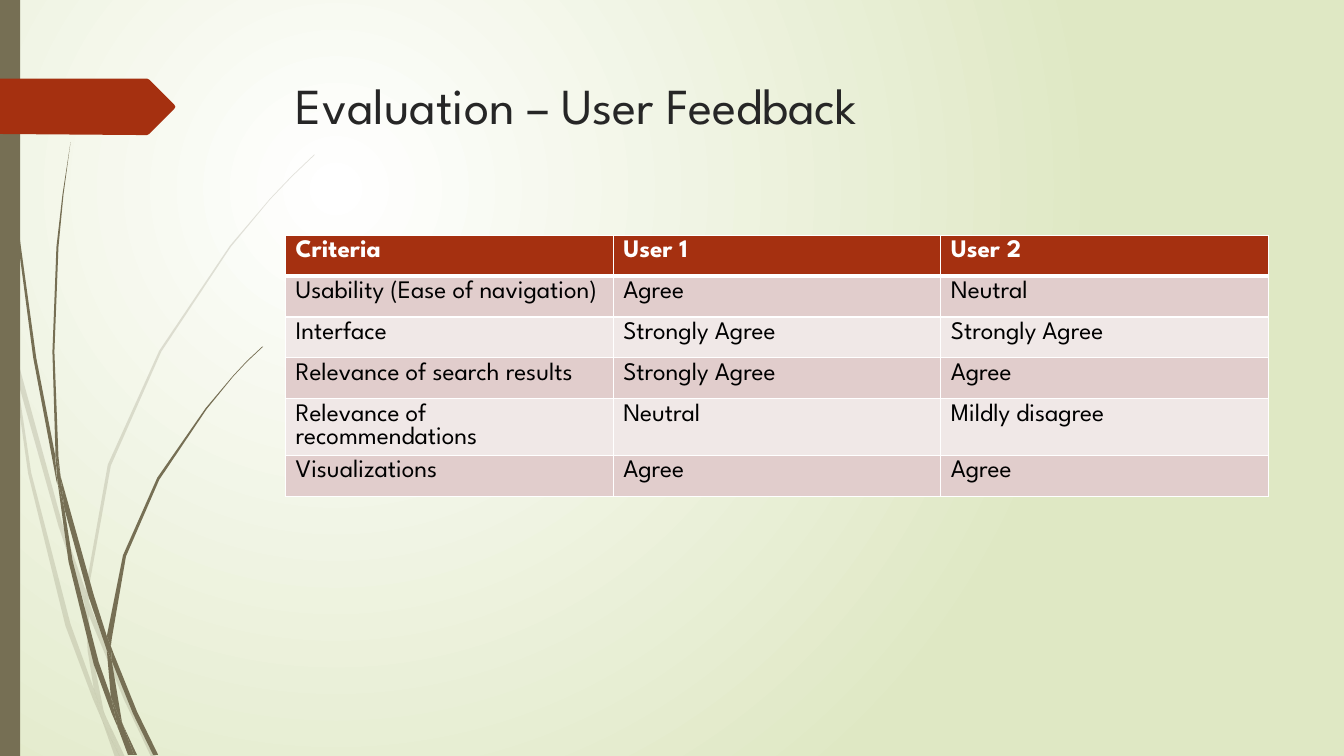
"""Build the user feedback evaluation slide."""
from pptx import Presentation
from pptx import util as u
from pptx.dml.color import RGBColor
from pptx.enum import shapes, text
from pptx.oxml import parse_xml
from pptx.oxml.ns import nsdecls, qn

OLIVE, RUST, WHITE = "766F54", "A53010", "FFFFFF"
HUNDREDTH_INCH = u.Pt(0.72)

PALE_BLADES = [
    [(11, 350), (9, 322), (0, 282), (0, 299), (10, 344)],
    [(58, 522), (84, 599), (85, 586), (62, 520), (14, 345), (17, 376)],
    [(92, 607), (88, 596), (88, 610), (123, 694), (150, 751), (155, 751),
     (127, 692)],
    [(119, 751), (124, 751), (105, 711)],
    [(93, 683), (70, 619), (31, 469), (17, 376), (11, 350), (28, 470),
     (65, 621), (92, 693), (101, 714), (99, 707)],
    [(84, 599), (87, 646), (93, 683), (96, 692), (105, 711), (103, 706),
     (91, 646), (88, 610), (88, 608)],
    [(88, 584), (110, 462), (160, 349), (229, 245), (268, 198), (290, 175),
     (312, 154), (312, 153), (289, 175), (268, 197), (228, 244), (158, 348),
     (107, 461), (85, 584), (85, 586), (88, 596)],
    [(101, 714), (114, 751), (119, 751)],
    [(88, 608), (88, 610), (88, 596), (85, 586), (84, 599)],
    [(96, 692), (93, 683), (99, 707), (101, 714), (119, 751), (105, 711)],
]
DARK_BLADES = [
    [(7, 110), (17, 233), (33, 355), (56, 477), (57, 481), (55, 457),
     (55, 453), (36, 355), (19, 232), (8, 109), (5, 48), (4, 0), (3, 0),
     (4, 48)],
    [(88, 592), (106, 645), (106, 633), (106, 631), (93, 590), (60, 472),
     (64, 505)],
    [(113, 649), (110, 641), (111, 656), (132, 708), (152, 749), (157, 749),
     (136, 706)],
    [(110, 691), (98, 657), (72, 556), (64, 505), (57, 477), (68, 557),
     (93, 659), (111, 708), (117, 722), (116, 717)],
    [(60, 472), (58, 453), (54, 349), (58, 245), (63, 193), (70, 141),
     (62, 193), (56, 245), (52, 349), (55, 449)],
    [(133, 749), (136, 749), (122, 719)],
    [(57, 477), (64, 505), (60, 472), (55, 449), (55, 453)],
    [(111, 633), (125, 552), (158, 476), (205, 406), (231, 374), (245, 359),
     (261, 344), (260, 344), (245, 358), (231, 373), (204, 405), (156, 474),
     (122, 551), (106, 631), (110, 641)],
    [(117, 722), (127, 749), (131, 749)],
    [(106, 645), (110, 691), (116, 706), (122, 719), (121, 716), (111, 656),
     (109, 651)],
    [(106, 645), (109, 651), (111, 656), (110, 641), (106, 631), (106, 633)],
    [(116, 706), (110, 691), (116, 717), (117, 722), (130, 749), (133, 749),
     (122, 719)],
]
PENNANT = [(0, 78), (146, 78), (148, 79), (173, 104), (174, 106), (173, 108),
           (148, 133), (146, 134), (136, 134), (0, 133)]
FEEDBACK = [
    ("Criteria", "User 1", "User 2"),
    ("Usability (Ease of navigation)", "Agree", "Neutral"),
    ("Interface", "Strongly Agree", "Strongly Agree"),
    ("Relevance of search results", "Strongly Agree", "Agree"),
    ("Relevance of recommendations", "Neutral", "Mildly disagree"),
    ("Visualizations", "Agree", "Agree"),
]


def colour(code):
    return RGBColor.from_string(code)


class FeedbackSlide:
    """Hold the style and draw each kind of element on one slide."""

    font = "League Spartan"
    bands = ("F0E8E7", "E1CDCC")

    def __init__(self, deck):
        self.slide = deck.slides.add_slide(deck.slide_layouts[5])

    def background(self, centre, edge):
        fill = self.slide.background.fill
        fill.gradient()
        for stop, code in zip(fill.gradient_stops, (centre, edge)):
            stop.color.rgb = colour(code)
        gradient = self.slide.element.find(".//" + qn("a:gradFill"))
        gradient.replace(gradient.find(qn("a:lin")), parse_xml(
            f'<a:path {nsdecls("a")} path="circle"><a:fillToRect l="50000" '
            't="50000" r="100000" b="100000"/></a:path>'))

    def paint(self, shape, code, opacity=100):
        shape.shadow.inherit = False
        shape.fill.solid()
        shape.fill.fore_color.rgb = colour(code)
        shape.line.fill.background()
        if opacity < 100:
            shape.element.spPr.find(".//" + qn("a:srgbClr")).append(parse_xml(
                f'<a:alpha {nsdecls("a")} val="{opacity * 1000}"/>'))

    def outline(self, owner, points, code, opacity=100):
        builder = owner.build_freeform(*points[0], scale=HUNDREDTH_INCH)
        builder.add_line_segments(points[1:], close=True)
        self.paint(builder.convert_to_shape(), code, opacity)

    def grass(self, blades, opacity):
        tuft = self.slide.shapes.add_group_shape()
        for blade in blades:
            self.outline(tuft.shapes, blade, OLIVE, opacity)

    def bar(self, left, top, width, height, code):
        box = map(u.Pt, (left, top, width, height))
        self.paint(self.slide.shapes.add_shape(
            shapes.MSO_SHAPE.RECTANGLE, *box), code)

    def label(self, frame, words, size, code, bold=False):
        paragraph = frame.paragraphs[0]
        paragraph.alignment = text.PP_ALIGN.LEFT
        run = paragraph.add_run()
        run.text = words
        run.font.name = self.font
        run.font.size = u.Pt(size)
        run.font.bold = bold
        run.font.color.rgb = colour(code)

    def title(self, words, left, top, width, height):
        heading = self.slide.shapes.title
        heading.left, heading.top = u.Pt(left), u.Pt(top)
        heading.width, heading.height = u.Pt(width), u.Pt(height)
        frame = heading.text_frame
        frame.word_wrap = True
        frame.auto_size = text.MSO_AUTO_SIZE.NONE
        frame.vertical_anchor = text.MSO_ANCHOR.TOP
        self.label(frame, words, 36, "262626")
        heading.element.getparent().append(heading.element)

    def borders(self, cell, **widths):
        properties = cell._tc.get_or_add_tcPr()
        for side, width in widths.items():
            properties.append(parse_xml(
                f'<a:ln{side} {nsdecls("a")} w="{u.Pt(width)}"><a:solidFill>'
                f'<a:srgbClr val="{WHITE}"/></a:solidFill></a:ln{side}>'))

    def table(self, records, left, top, width, row_height):
        box = map(u.Pt, (left, top, width, row_height * len(records)))
        grid = self.slide.shapes.add_table(
            len(records), len(records[0]), *box).table
        for row, record in enumerate(records):
            header = row == 0
            for column, words in enumerate(record):
                cell = grid.cell(row, column)
                self.borders(cell, L=1, R=1, T=3 if row == 1 else 1,
                             B=3 if header else 1)
                cell.fill.solid()
                cell.fill.fore_color.rgb = colour(
                    RUST if header else self.bands[row % 2])
                self.label(cell.text_frame, words, 18,
                           WHITE if header else "000000", header)


def main():
    deck = Presentation()
    deck.slide_width, deck.slide_height = u.Pt(960), u.Pt(540)
    page = FeedbackSlide(deck)
    page.background(WHITE, "DFE8C4")
    page.grass(PALE_BLADES, 20)
    page.grass(DARK_BLADES, 100)
    page.bar(0, 0, 14.4, 540, OLIVE)
    page.outline(page.slide.shapes, PENNANT, RUST)
    page.title("Evaluation – User Feedback", 204.2, 49.1, 702, 100.9)
    page.table(FEEDBACK, 204, 168, 702, 29.2)
    deck.save("out.pptx")


if __name__ == "__main__":
    main()
